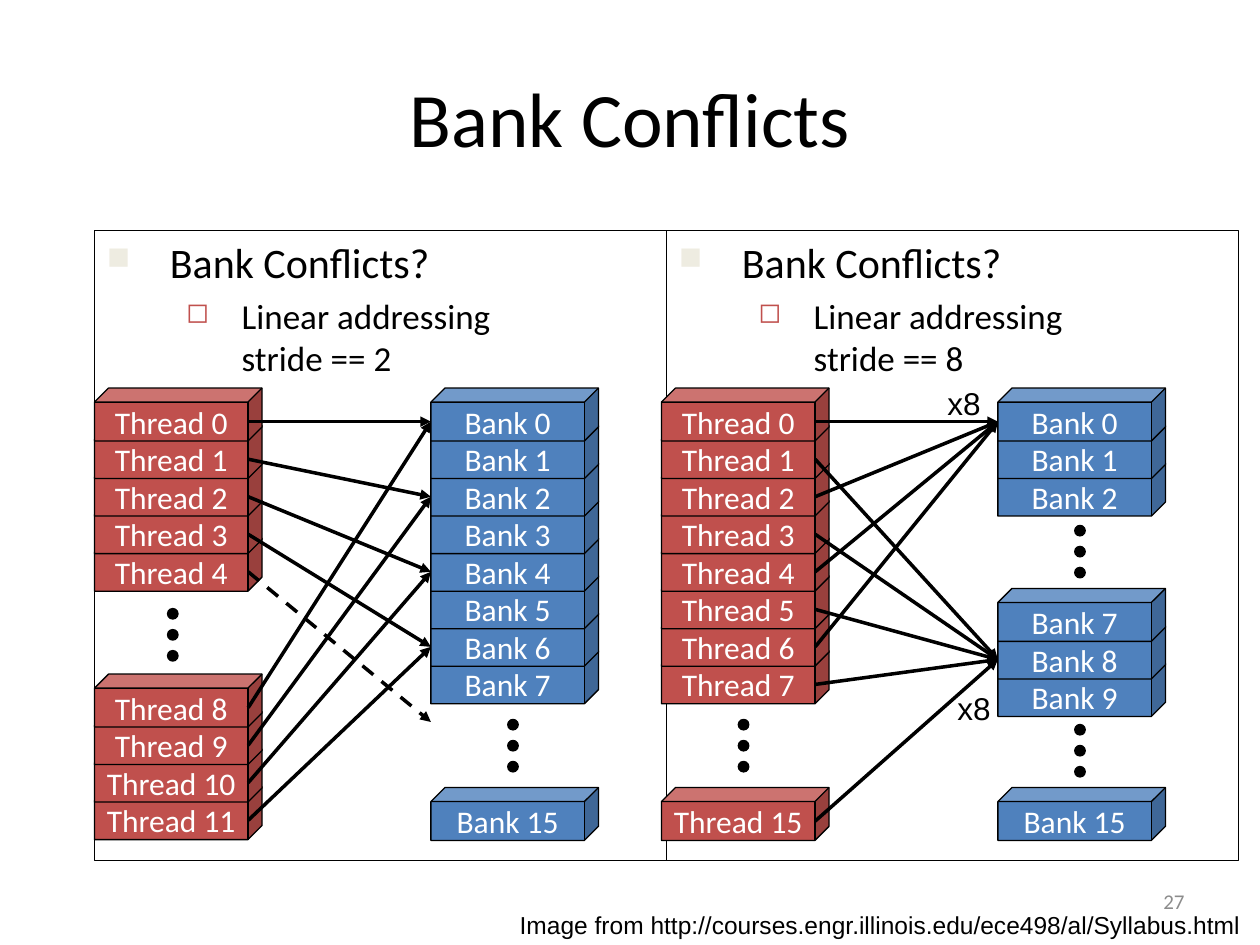
from lxml.etree import SubElement
from pptx import Presentation
from pptx.dml.color import RGBColor
from pptx.enum.dml import MSO_LINE
from pptx.enum.shapes import MSO_CONNECTOR, MSO_SHAPE
from pptx.enum.text import MSO_ANCHOR, PP_ALIGN
from pptx.oxml.ns import qn
from pptx.util import Pt

BLACK, WHITE, GRAY = "000000", "FFFFFF", "8C8C8C"
RED, BLUE, CREAM = "C0504D", "4F81BD", "EEECE1"
BLOCK_WIDTH, BLOCK_HEIGHT, BLOCK_PITCH = 95.76, 30.24, 21.45
FACE_WIDTH, FACE_MIDDLE = 87.84, 19.2
BANK_LEFT = 192.24
DOT_SIZE, DOT_PITCH = 6, 12


def color(value):
    """Turn a hex string into a colour."""
    return RGBColor.from_string(value)


def style_text(paragraph, size, font="Calibri", fill=BLACK, align=PP_ALIGN.LEFT):
    """Set the alignment and font of a paragraph."""
    paragraph.alignment = align
    for run in paragraph.runs:
        run.font.size = Pt(size)
        run.font.name = font
        run.font.color.rgb = color(fill)


def add_label(shapes, box, text, size, font="Calibri", fill=BLACK,
              align=PP_ALIGN.LEFT, anchor=MSO_ANCHOR.TOP, wrap=True):
    """Add a one-paragraph text box."""
    text_frame = shapes.add_textbox(*map(Pt, box)).text_frame
    text_frame.word_wrap = wrap
    text_frame.vertical_anchor = anchor
    text_frame.text = text
    style_text(text_frame.paragraphs[0], size, font, fill, align)


def add_outlined(shapes, kind, box, fill=None):
    """Add a preset shape with a thin black outline."""
    shape = shapes.add_shape(kind, *map(Pt, box))
    shape.shadow.inherit = False
    if fill:
        shape.fill.solid()
        shape.fill.fore_color.rgb = color(fill)
    else:
        shape.fill.background()
    shape.line.color.rgb = color(BLACK)
    shape.line.width = Pt(0.75)
    return shape


def add_bullet(paragraph, character, fill, percent, margin, indent):
    """Give a paragraph a coloured bullet and a hanging indent."""
    properties = paragraph._p.get_or_add_pPr()
    properties.set("marL", str(Pt(margin)))
    properties.set("indent", str(Pt(indent)))
    bullet_color = SubElement(properties, qn("a:buClr"))
    SubElement(bullet_color, qn("a:srgbClr"), val=fill)
    SubElement(properties, qn("a:buSzPct"), val=str(percent * 1000))
    SubElement(properties, qn("a:buChar"), char=character)


def add_panel(slide, box, stride):
    """Add a framed panel with its question and addressing stride."""
    panel = add_outlined(slide.shapes, MSO_SHAPE.RECTANGLE, box)
    text_frame = panel.text_frame
    text_frame.word_wrap = True
    text_frame.vertical_anchor = MSO_ANCHOR.TOP
    text_frame.text = "Bank Conflicts?"
    question = text_frame.paragraphs[0]
    add_bullet(question, "■", CREAM, 75, 36, -36)
    style_text(question, 24)
    detail = text_frame.add_paragraph()
    detail.text = f"Linear addressing \vstride == {stride}"
    detail.level = 1
    add_bullet(detail, "◻", RED, 80, 77.04, -31.68)
    detail.space_before = Pt(4)
    style_text(detail, 20)


def add_stacks(shapes, left, top, name, fill, stacks):
    """Add numbered cubes, each stack built from the bottom up."""
    for first, count, offset in stacks:
        for row in reversed(range(count)):
            box = (left, top + offset + row * BLOCK_PITCH, BLOCK_WIDTH, BLOCK_HEIGHT)
            cube = add_outlined(shapes, MSO_SHAPE.CUBE, box, fill)
            cube.adjustments[0] = 0.266
            text_frame = cube.text_frame
            text_frame.word_wrap = False
            text_frame.vertical_anchor = MSO_ANCHOR.MIDDLE
            text_frame.text = f"{name} {first + row}"
            style_text(text_frame.paragraphs[0], 18, fill=WHITE, align=PP_ALIGN.CENTER)


def add_dots(shapes, left, top):
    """Add a vertical ellipsis of three dots."""
    for index in range(3):
        box = (left, top + index * DOT_PITCH, DOT_SIZE, DOT_SIZE)
        add_outlined(shapes, MSO_SHAPE.OVAL, box, BLACK)


def face_middle(stacks, number):
    """Return the middle of the numbered slot, counted from its stack."""
    first, _, offset = [stack for stack in stacks if stack[0] <= number][-1]
    return offset + (number - first) * BLOCK_PITCH + FACE_MIDDLE


def add_arrow(shapes, start, end, dashed):
    """Add an arrow between two points."""
    arrow = shapes.add_connector(MSO_CONNECTOR.STRAIGHT, *map(Pt, start + end))
    arrow.line.color.rgb = color(BLACK)
    arrow.line.width = Pt(2)
    if dashed:
        arrow.line.dash_style = MSO_LINE.DASH
    SubElement(arrow.line._get_or_add_ln(), qn("a:tailEnd"), type="triangle")
    SubElement(arrow._element.spPr, qn("a:effectLst"))


def add_diagram(slide, left, top, threads, banks, accesses, dots, dashed=(), labels=()):
    """Add a group that maps threads to memory banks."""
    shapes = slide.shapes.add_group_shape().shapes
    add_stacks(shapes, left, top, "Thread", RED, threads)
    for thread, bank in accesses:
        start = (left + FACE_WIDTH, top + face_middle(threads, thread))
        end = (left + BANK_LEFT, top + face_middle(banks, bank))
        add_arrow(shapes, start, end, thread in dashed)
    add_stacks(shapes, left + BANK_LEFT, top, "Bank", BLUE, banks)
    for dot_left, dot_top in dots:
        add_dots(shapes, left + dot_left, top + dot_top)
    for label_left, label_top in labels:
        box = (left + label_left, top + label_top, 33.84, 28.8)
        add_label(shapes, box, "x8", 18, "Arial", wrap=False)


def main():
    """Build and save the slide."""
    presentation = Presentation()
    presentation.slide_width, presentation.slide_height = Pt(720), Pt(540)
    slide = presentation.slides.add_slide(presentation.slide_layouts[6])
    add_label(slide.shapes, (36, 21.6, 648, 90), "Bank Conflicts", 44,
              align=PP_ALIGN.CENTER, anchor=MSO_ANCHOR.MIDDLE)
    add_label(slide.shapes, (0, 516.24, 720, 24.48),
              "Image from http://courses.engr.illinois.edu/ece498/al/Syllabus.html ",
              14, "Arial", align=PP_ALIGN.RIGHT)
    for index, stride in enumerate((2, 8)):
        add_panel(slide, (54 + index * 326.88, 131.76, 326.88, 360), stride)

    add_diagram(
        slide, 54, 221.76,
        threads=[(0, 5, 0), (8, 4, 163.44)],
        banks=[(0, 8, 0), (15, 1, 228.24)],
        accesses=[(thread, thread * 2 % 16) for thread in (0, 1, 2, 3, 8, 9, 10, 11)] + [(4, 8)],
        dots=[(41.76, 126), (236.16, 189.36)],
        dashed=(4,))
    add_diagram(
        slide, 378, 221.76,
        threads=[(0, 8, 0), (15, 1, 228.24)],
        banks=[(0, 3, 0), (7, 3, 114.48), (15, 1, 228.24)],
        accesses=[(thread, thread * 8 % 16) for thread in (*range(8), 15)],
        dots=[(43.92, 189.36), (236.16, 78.48), (236.16, 192.24)],
        labels=[(156.24, -5.76), (162, 168.48)])
    add_label(slide.shapes, (516.24, 500.4, 167.76, 28.8), "27", 12, fill=GRAY,
              align=PP_ALIGN.RIGHT, anchor=MSO_ANCHOR.MIDDLE)
    presentation.save("out.pptx")


if __name__ == "__main__":
    main()
